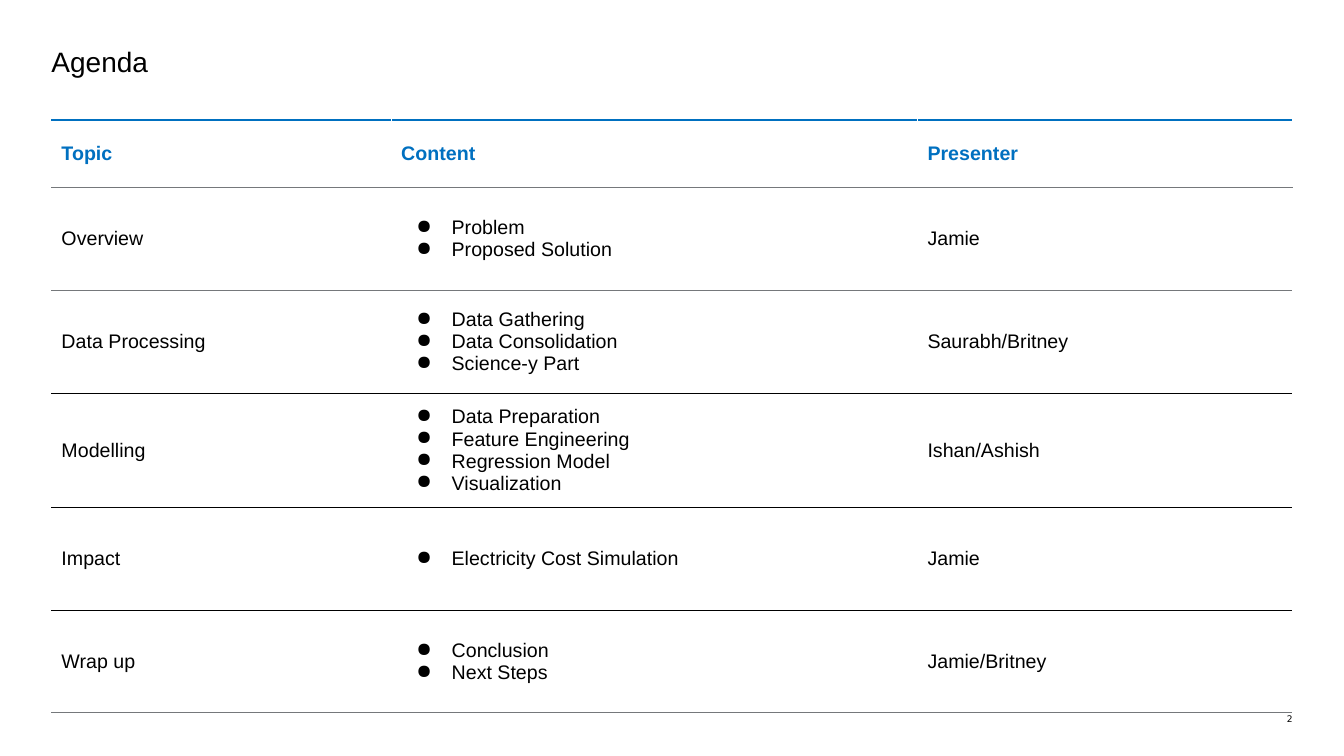
from lxml import etree
from pptx import Presentation
from pptx import util as u
from pptx.dml.color import RGBColor
from pptx.enum import text
from pptx.oxml.ns import qn

COLORS = {"ink": "000000", "blue": "0070C0", "gray": "75787B", "white": "FFFFFF"}
NO_GRID_STYLE = "{2D5ABB26-0587-4C30-8999-92F81FD0307C}"


def write(frame, lines, size=14, color="ink", bold=False, font="Arial",
          align=text.PP_ALIGN.LEFT, bullet=False):
    frame.word_wrap = True
    for number, line in enumerate(lines):
        paragraph = frame.paragraphs[0] if number == 0 else frame.add_paragraph()
        paragraph.alignment = align
        if bullet:
            props = paragraph._p.get_or_add_pPr()
            props.set("marL", str(u.Inches(0.5)))
            props.set("indent", str(u.Inches(-0.35)))
            bullet_color = etree.SubElement(props, qn("a:buClr"))
            etree.SubElement(bullet_color, qn("a:srgbClr"), val=COLORS[color])
            etree.SubElement(props, qn("a:buChar"), char="●")
        run = paragraph.add_run()
        run.text = line
        run.font.name = font
        run.font.size = u.Pt(size)
        run.font.bold = bold
        run.font.color.rgb = RGBColor.from_string(COLORS[color])


def draw_border(cell, side, color, width=0.75):
    line = etree.SubElement(cell._tc.get_or_add_tcPr(), qn(f"a:ln{side}"), w=str(u.Pt(width)))
    if color is None:
        etree.SubElement(line, qn("a:noFill"))
    else:
        fill = etree.SubElement(line, qn("a:solidFill"))
        etree.SubElement(fill, qn("a:srgbClr"), val=COLORS[color])


deck = Presentation()
deck.slide_width = u.Inches(13.33)
deck.slide_height = u.Inches(7.5)
slide = deck.slides.add_slide(deck.slide_layouts[6])

labels = [
    (["Agenda"], (0.51, 0.44, 12.31, 0.37), {"size": 20}),
    (["2"], (12.48, 7.08, 0.34, 0.11),
     {"size": 6.5, "font": "DejaVu Sans", "align": text.PP_ALIGN.RIGHT}),
]
for lines, place, style in labels:
    frame = slide.shapes.add_textbox(*map(u.Inches, place)).text_frame
    frame.margin_left = frame.margin_right = frame.margin_top = frame.margin_bottom = 0
    write(frame, lines, **style)

agenda = [
    ("Topic", ["Content"], "Presenter"),
    ("Overview", ["Problem", "Proposed Solution"], "Jamie"),
    ("Data Processing", ["Data Gathering", "Data Consolidation", "Science-y Part"],
     "Saurabh/Britney"),
    ("Modelling", ["Data Preparation", "Feature Engineering", "Regression Model",
                   "Visualization"], "Ishan/Ashish"),
    ("Impact", ["Electricity Cost Simulation"], "Jamie"),
    ("Wrap up", ["Conclusion", "Next Steps"], "Jamie/Britney"),
]
column_widths = [3.37, 5.22, 3.72]
row_heights = [0.67, 1.02, 1.02, 1.08, 1.02, 1.02]
rule_colors = ["blue", "gray", "gray", "ink", "ink", "ink", "gray"]

table = slide.shapes.add_table(
    len(agenda), len(column_widths), u.Inches(0.51), u.Inches(1.19),
    u.Inches(sum(column_widths)), u.Inches(sum(row_heights))).table
table.horz_banding = False
table._tbl.tblPr.find(qn("a:tableStyleId")).text = NO_GRID_STYLE
for column, width in zip(table.columns, column_widths):
    column.width = u.Inches(width)

for row, (topic, content, presenter) in enumerate(agenda):
    table.rows[row].height = u.Inches(row_heights[row])
    header = row == 0
    for column, lines in enumerate([[topic], content, [presenter]]):
        cell = table.cell(row, column)
        cell.margin_left = cell.margin_right = u.Inches(0.1)
        cell.margin_top = cell.margin_bottom = u.Inches(0.1)
        cell.vertical_anchor = text.MSO_ANCHOR.MIDDLE
        write(cell.text_frame, lines, color="blue" if header else "ink", bold=header,
              bullet=column == 1 and not header)
        draw_border(cell, "L", "white" if header and column > 0 else None)
        draw_border(cell, "R", "white" if header else None)
        draw_border(cell, "T", rule_colors[row], 1 if header else 0.75)
        draw_border(cell, "B", rule_colors[row + 1])
        cell.fill.background()

deck.save("out.pptx")
